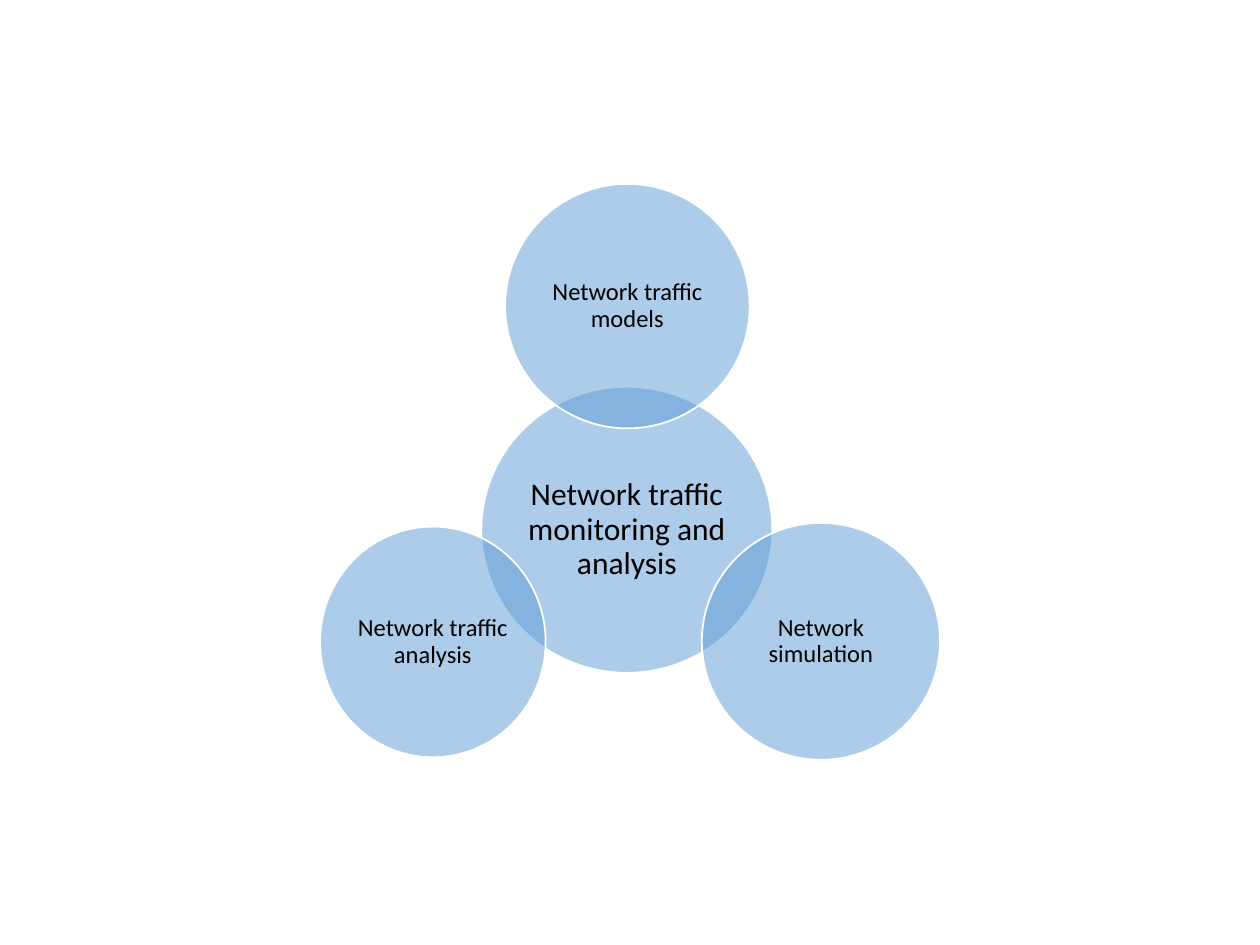
from lxml.etree import SubElement
from pptx import Presentation
from pptx.dml.color import RGBColor
from pptx.enum.shapes import MSO_SHAPE
from pptx.enum.text import MSO_ANCHOR, PP_ALIGN
from pptx.oxml.ns import qn
from pptx.util import Inches, Pt

COLORS = {"disc": "5B9BD5", "edge": "FFFFFF", "text": "000000"}
FONT = "Calibri"

# text, left, top, width, height, font size, inset
DISCS = [
    ("Network traffic monitoring and analysis", 3.82, 3.07, 2.31, 2.27, 18, 0.03),
    ("Network traffic models", 4.01, 1.46, 1.94, 1.94, 14, 0.02),
    ("Network simulation", 5.57, 4.15, 1.89, 1.88, 14, 0.02),
    ("Network traffic analysis", 2.54, 4.18, 1.79, 1.83, 14, 0.02),
]


def color(name):
    return RGBColor.from_string(COLORS[name])


def set_alpha(shape, share):
    """Make the solid fill see-through; share is the opacity in percent."""
    tone = shape._element.spPr.find(qn("a:solidFill"))[0]
    SubElement(tone, qn("a:alpha"), val=str(share * 1000))


def set_label(shape, text, size, inset):
    frame = shape.text_frame
    frame.text = text
    frame.word_wrap = True
    frame.vertical_anchor = MSO_ANCHOR.MIDDLE
    frame.margin_left = frame.margin_right = Inches(inset)
    frame.margin_top = frame.margin_bottom = Inches(inset)
    para = frame.paragraphs[0]
    para.alignment = PP_ALIGN.CENTER
    para.line_spacing = 0.9
    font = para.runs[0].font
    font.name = FONT
    font.size = Pt(size)
    font.color.rgb = color("text")


def add_disc(slide, text, left, top, width, height, size, inset):
    box = [Inches(n) for n in (left, top, width, height)]
    disc = slide.shapes.add_shape(MSO_SHAPE.OVAL, *box)
    disc.shadow.inherit = False
    disc.fill.solid()
    disc.fill.fore_color.rgb = color("disc")
    set_alpha(disc, 50)
    disc.line.color.rgb = color("edge")
    disc.line.width = Pt(1)
    set_label(disc, text, size, inset)


def main():
    deck = Presentation()
    deck.slide_width = Inches(10)
    deck.slide_height = Inches(7.5)
    slide = deck.slides.add_slide(deck.slide_layouts[6])
    for disc in DISCS:
        add_disc(slide, *disc)
    deck.save("out.pptx")


if __name__ == "__main__":
    main()
